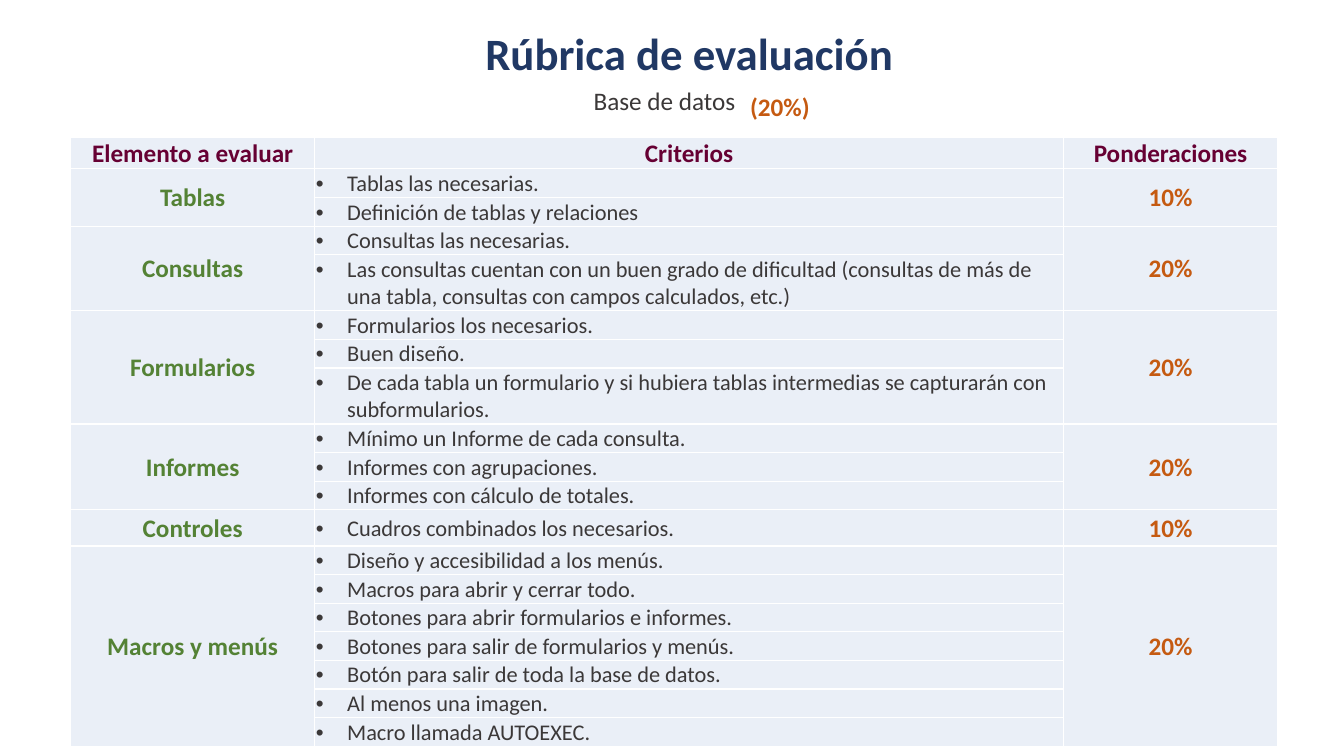
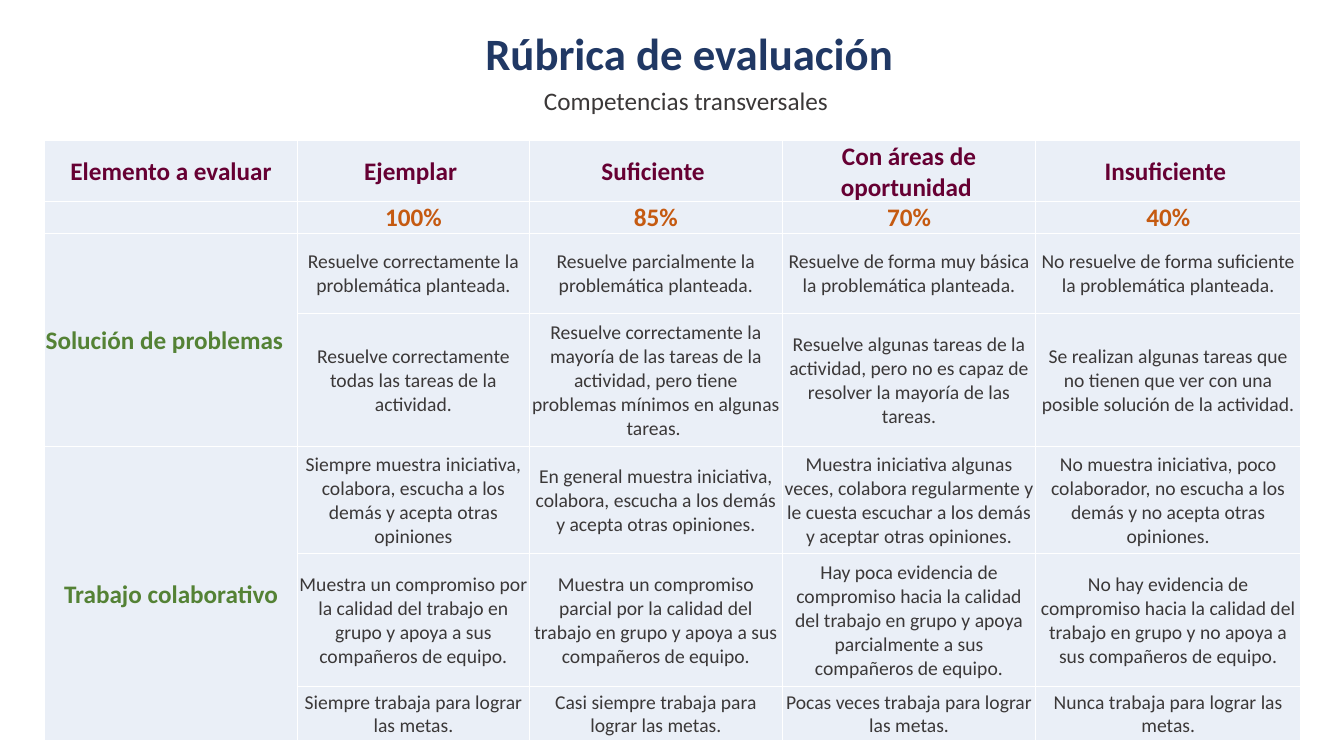
from dataclasses import dataclass

from lxml import etree
from pptx import Presentation
from pptx.dml.color import RGBColor
from pptx.enum.text import MSO_ANCHOR, MSO_AUTO_SIZE, PP_ALIGN
from pptx.oxml.ns import qn
from pptx.util import Cm, Pt

LEFT, CENTER = PP_ALIGN.LEFT, PP_ALIGN.CENTER
MIDDLE = MSO_ANCHOR.MIDDLE
FIT_SHAPE, NO_FIT = MSO_AUTO_SIZE.SHAPE_TO_FIT_TEXT, MSO_AUTO_SIZE.NONE
TITLE_ONLY = 5


@dataclass(frozen=True)
class Theme:
    """Colours, type sizes and font of the deck."""
    font: str = "Calibri"
    navy: str = "203864"
    plum: str = "660033"
    green: str = "548235"
    orange: str = "C55A11"
    ink: str = "3B3838"
    cell: str = "EAEFF7"
    border: str = "FFFFFF"
    title: int = 32
    heading: int = 18
    criterion: int = 16
    level: int = 14


THEME = Theme()
STYLES = {
    "title": dict(size=THEME.title, color=THEME.navy, bold=True),
    "subtitle": dict(size=THEME.heading, color=THEME.ink, bold=False),
    "header": dict(size=THEME.heading, color=THEME.plum, bold=True),
    "element": dict(size=THEME.heading, color=THEME.green, bold=True),
    "weight": dict(size=THEME.heading, color=THEME.orange, bold=True),
    "criterion": dict(size=THEME.criterion, color=THEME.ink, bold=False),
    "level": dict(size=THEME.level, color=THEME.ink, bold=False),
}
CELL_MARGINS = dict(margin_left=Cm(0.03), margin_right=Cm(0.03),
                    margin_top=Cm(0.03), margin_bottom=0)

DATABASE_HEADERS = ["Elemento a evaluar", "Criterios", "Ponderaciones"]
DATABASE_WIDTHS = [6.15, 18.87, 5.4]
DATABASE_HEIGHTS = [0.74, 0.71, 0.64, 0.66, 1.27, 0.69, 0.64, 1.27, 0.71, 0.64,
                    0.66, 0.91, 0.64, 0.66, 0.64, 0.71, 0.64, 0.64, 0.64]
DATABASE_GROUPS = [
    ("Tablas", "10%", ["Tablas las necesarias.", "Definición de tablas y relaciones"]),
    ("Consultas", "20%", [
        "Consultas las necesarias.",
        "Las consultas cuentan con un buen grado de dificultad (consultas de más de "
        "una tabla, consultas con campos calculados, etc.) "]),
    ("Formularios", "20%", [
        "Formularios los necesarios.",
        "Buen diseño.",
        "De cada tabla un formulario y si hubiera tablas intermedias se capturarán "
        "con subformularios."]),
    ("Informes", "20%", [
        "Mínimo un Informe de cada consulta.",
        "Informes con agrupaciones.",
        "Informes con cálculo de totales."]),
    ("Controles", "10%", ["Cuadros combinados los necesarios."]),
    ("Macros y menús", "20%", [
        "Diseño y accesibilidad a los menús.",
        "Macros para abrir y cerrar todo.",
        "Botones para abrir formularios e informes.",
        "Botones para salir de formularios y menús.",
        "Botón para salir de toda la base de datos.",
        "Al menos una imagen.",
        "Macro llamada AUTOEXEC."]),
]

SKILL_HEADERS = ["Elemento a evaluar", "Ejemplar\u00a0", "Suficiente\u00a0",
                 "Con áreas de oportunidad\u00a0", "Insuficiente "]
SKILL_WEIGHTS = ["", "100%", "85%", "70%", "40%"]
SKILL_WIDTHS = [6.38, 5.84, 6.38, 6.38, 6.68]
SKILL_HEIGHTS = [0.86, 0.79, 2.03, 3.35, 2.69, 3.35, 1.37]
SKILL_GROUPS = [
    ("Solución de problemas", LEFT, [
        ["Resuelve correctamente la problemática planteada.",
         "Resuelve parcialmente la problemática planteada.",
         "Resuelve de forma muy básica la problemática planteada.",
         "No resuelve de forma suficiente la problemática planteada."],
        ["Resuelve correctamente todas las tareas de la actividad.",
         "Resuelve correctamente la mayoría de las tareas de la actividad, pero "
         "tiene problemas mínimos en algunas tareas.\u00a0",
         "Resuelve algunas tareas de la actividad, pero no es capaz de resolver la "
         "mayoría de las tareas.",
         "Se realizan algunas tareas que no tienen que ver con una posible solución "
         "de la actividad."]]),
    ("Trabajo colaborativo", CENTER, [
        ["Siempre muestra iniciativa, colabora, escucha a los demás y acepta otras "
         "opiniones",
         "En general muestra iniciativa, colabora, escucha a los demás y acepta "
         "otras opiniones.",
         "Muestra iniciativa algunas veces, colabora regularmente y le cuesta "
         "escuchar a los demás y aceptar otras opiniones.",
         "No muestra iniciativa, poco colaborador, no escucha a los demás y no "
         "acepta otras opiniones."],
        ["Muestra un compromiso por la calidad del trabajo en grupo y apoya a sus "
         "compañeros de equipo.",
         "Muestra un compromiso parcial por la calidad del trabajo en grupo y apoya "
         "a sus compañeros de equipo.",
         "Hay poca evidencia de compromiso hacia la calidad del trabajo en grupo y "
         "apoya parcialmente a sus compañeros de equipo.",
         "No hay evidencia de compromiso hacia la calidad del trabajo en grupo y no "
         "apoya a sus compañeros de equipo."],
        ["Siempre trabaja para lograr las metas.",
         "Casi siempre trabaja para lograr las metas.",
         "Pocas veces trabaja para lograr las metas.",
         "Nunca trabaja para lograr las metas."]]),
]


def set_attrs(obj, values):
    """Set each named attribute of an object."""
    for name, value in values.items():
        setattr(obj, name, value)


def write(tf, text, style, align=CENTER):
    """Write one styled paragraph and return it."""
    p = tf.paragraphs[0]
    p.alignment = align
    r = p.add_run()
    r.text = text
    fmt = STYLES[style]
    set_attrs(r.font, dict(name=THEME.font, size=Pt(fmt["size"]), bold=fmt["bold"]))
    r.font.color.rgb = RGBColor.from_string(fmt["color"])
    return p


def add_bullet(p):
    """Give a paragraph a round bullet with a hanging indent."""
    pPr = p._p.get_or_add_pPr()
    pPr.set("marL", str(Cm(0.79)))
    pPr.set("indent", str(-Cm(0.79)))
    etree.SubElement(pPr, qn("a:buFont"), typeface="Arial")
    etree.SubElement(pPr, qn("a:buChar"), char="•")


def add_borders(cell):
    """Draw thin lines on the four sides of a cell."""
    tcPr = cell._tc.get_or_add_tcPr()
    for side in ("a:lnL", "a:lnR", "a:lnT", "a:lnB"):
        ln = etree.SubElement(tcPr, qn(side), w=str(Pt(1)))
        fill = etree.SubElement(ln, qn("a:solidFill"))
        etree.SubElement(fill, qn("a:srgbClr"), val=THEME.border)


def format_cell(cell):
    """Set the margins, anchor, borders and fill of a cell."""
    set_attrs(cell, dict(CELL_MARGINS, vertical_anchor=MIDDLE))
    add_borders(cell)
    cell.fill.solid()
    cell.fill.fore_color.rgb = RGBColor.from_string(THEME.cell)


def add_title_slide(prs):
    """Add a slide with the shared title."""
    slide = prs.slides.add_slide(prs.slide_layouts[TITLE_ONLY])
    sp = slide.shapes.title
    set_attrs(sp, dict(left=Cm(4.8), top=0, width=Cm(24.89), height=Cm(2.67)))
    set_attrs(sp.text_frame, dict(vertical_anchor=MIDDLE, auto_size=NO_FIT))
    write(sp.text_frame, " Rúbrica de evaluación", "title")
    return slide


def add_label(slide, text, box, style, align=LEFT, wrap=False, spacing=None):
    """Add a one-line text box at box = left, top, width, height in cm."""
    sp = slide.shapes.add_textbox(*map(Cm, box))
    set_attrs(sp.text_frame, dict(word_wrap=wrap, auto_size=FIT_SHAPE))
    p = write(sp.text_frame, text, style, align)
    set_attrs(p, dict(space_before=Pt(6), line_spacing=spacing))


def add_rubric(slide, left, top, widths, heights, rows):
    """Add a table of (text, style, align) cells; None joins the cell above."""
    frame = slide.shapes.add_table(len(heights), len(widths), Cm(left), Cm(top),
                                   Cm(sum(widths)), Cm(sum(heights)))
    table = frame.table
    set_attrs(table, dict(first_row=False, horz_banding=False))
    for column, width in zip(table.columns, widths):
        column.width = Cm(width)
    for row, height in zip(table.rows, heights):
        row.height = Cm(height)
    for i, row in enumerate(rows):
        for j, content in enumerate(row):
            cell = table.cell(i, j)
            format_cell(cell)
            if content and content[0]:
                text, style, align = content
                p = write(cell.text_frame, text, style, align)
                if style == "criterion":
                    add_bullet(p)
    for j in range(len(widths)):
        merge_down(table, j, [row[j] for row in rows])


def merge_down(table, j, column):
    """Merge each filled cell of a column with the None cells below it."""
    starts = [i for i, content in enumerate(column) if content is not None]
    for start, end in zip(starts, starts[1:] + [len(column)]):
        if end - start > 1:
            table.cell(start, j).merge(table.cell(end - 1, j))


def centered(texts, style):
    """Return centred cells of one style."""
    return [(text, style, CENTER) for text in texts]


def database_rows():
    """Return the rows of the database rubric."""
    rows = [centered(DATABASE_HEADERS, "header")]
    for element, weight, criteria in DATABASE_GROUPS:
        for i, criterion in enumerate(criteria):
            first = i == 0
            rows.append([(element, "element", CENTER) if first else None,
                         (criterion, "criterion", LEFT),
                         (weight, "weight", CENTER) if first else None])
    return rows


def skill_rows():
    """Return the rows of the transversal skills rubric."""
    rows = [centered(SKILL_HEADERS, "header"), centered(SKILL_WEIGHTS, "weight")]
    for element, align, levels in SKILL_GROUPS:
        for i, texts in enumerate(levels):
            head = (element, "element", align) if i == 0 else None
            rows.append([head] + centered(texts, "level"))
    return rows


def main():
    """Build and save the deck."""
    prs = Presentation()
    set_attrs(prs, dict(slide_width=Cm(33.87), slide_height=Cm(19.05)))

    slide = add_title_slide(prs)
    add_rubric(slide, 1.78, 3.45, DATABASE_WIDTHS, DATABASE_HEIGHTS, database_rows())
    add_label(slide, "Base de datos", (14.71, 2.03, 4.11, 1.02), "subtitle")
    add_label(slide, "(20%)", (17.09, 1.8, 5.13, 1.3), "weight", CENTER, True, 1.5)

    slide = add_title_slide(prs)
    add_label(slide, "Competencias transversales", (13.46, 2.03, 7.75, 1.02), "subtitle")
    add_rubric(slide, 1.12, 3.53, SKILL_WIDTHS, SKILL_HEIGHTS, skill_rows())

    prs.save("out.pptx")


main()
